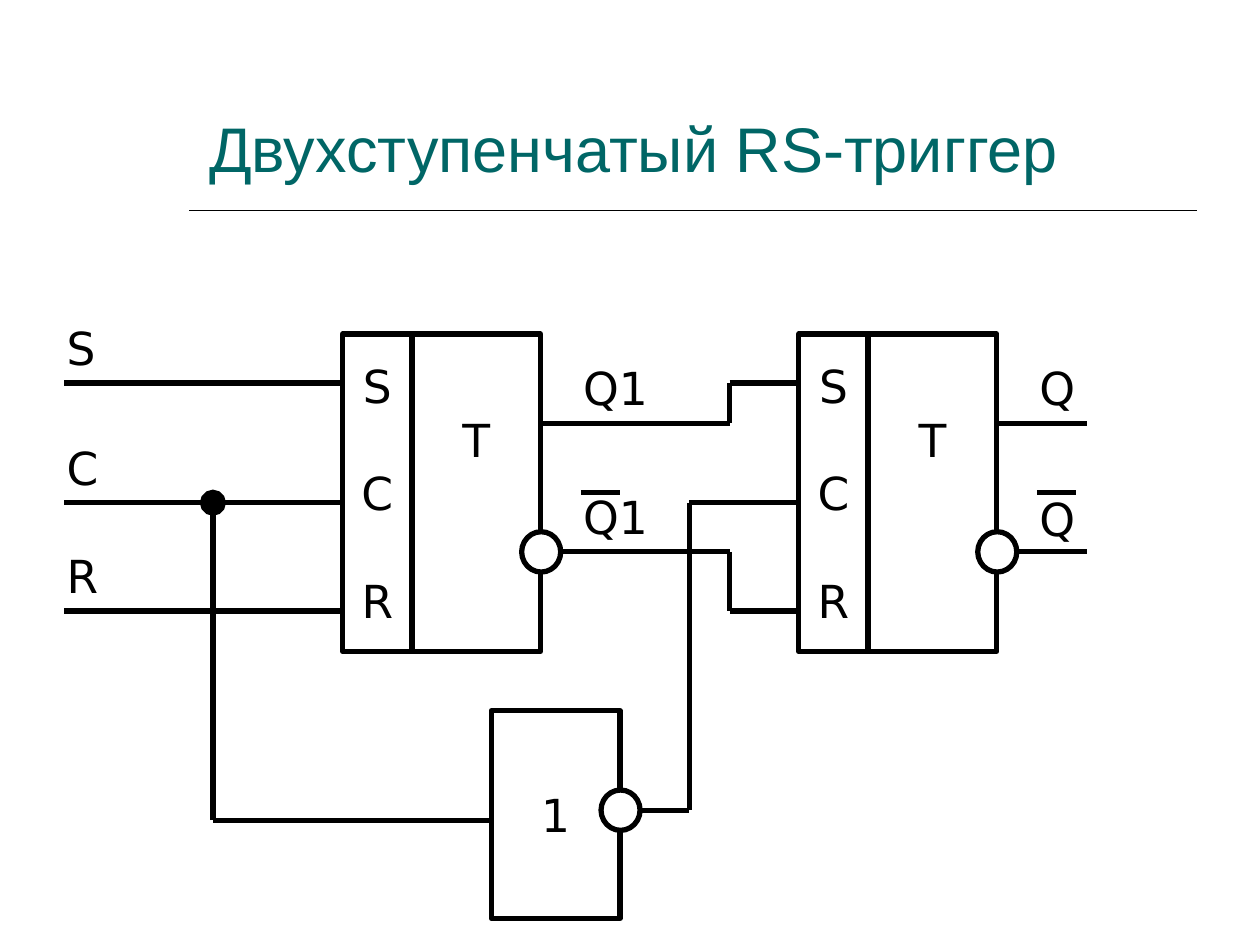
from itertools import pairwise

from lxml.etree import SubElement
from pptx import Presentation
from pptx.dml.color import RGBColor
from pptx.enum.shapes import MSO_CONNECTOR, MSO_SHAPE
from pptx.enum.text import MSO_ANCHOR as ANCHOR, PP_ALIGN as ALIGN
from pptx.oxml.ns import qn
from pptx.util import Inches, Pt

COLORS = {"title": "006666", "ink": "000000", "paper": "FFFFFF"}
SIZE = 26
ROW = 30.3            # height of one text line, points
S_Y, C_Y, R_Y = 3.04, 3.99, 4.85
Q_Y, NOT_Q_Y = 3.36, 4.38


class Diagram:
    def __init__(self, slide, font="DejaVu Sans", weight=3):
        self.slide, self.font, self.weight = slide, font, weight

    def color(self, name):
        return RGBColor.from_string(COLORS[name])

    def style(self, p, size=SIZE, font=None, color="ink"):
        p.font.size = Pt(size)
        p.font.name = font or self.font
        p.font.color.rgb = self.color(color)

    def title(self, text):
        sp = self.slide.shapes.title
        sp.left, sp.top, sp.width, sp.height = map(Inches, (1.56, 0.39, 7.88, 1.13))
        tf = sp.text_frame
        tf.text = text
        tf.vertical_anchor = ANCHOR.BOTTOM
        tf.paragraphs[0].alignment = ALIGN.LEFT
        self.style(tf.paragraphs[0], 36, "Arial", "title")

    def shape(self, kind, x, y, w, h):
        sp = self.slide.shapes.add_shape(kind, *map(Inches, (x, y, w, h)))
        sp.shadow.inherit = False
        sp.fill.solid()
        sp.fill.fore_color.rgb = self.color("paper")
        sp.line.color.rgb = self.color("ink")
        sp.line.width = Pt(self.weight)
        return sp

    def block(self, x, y, w, h, lines, lift=0):
        """Box with centred lines one blank row apart, raised by lift rows of inset."""
        tf = self.shape(MSO_SHAPE.RECTANGLE, x, y, w, h).text_frame
        tf.word_wrap = False
        tf.vertical_anchor = ANCHOR.MIDDLE
        tf.margin_bottom = Inches(0.05) + Pt(ROW * lift)
        for i, line in enumerate(lines):
            p = tf.add_paragraph() if i else tf.paragraphs[0]
            p.text = line
            p.alignment = ALIGN.CENTER
            if i:
                p.space_before = Pt(ROW)
            self.style(p)

    def inversion(self, x, y):
        self.shape(MSO_SHAPE.OVAL, x - 0.15, y - 0.16, 0.31, 0.32)

    def label(self, text, x, y, w=0.86):
        sp = self.slide.shapes.add_textbox(*map(Inches, (x, y, w, 0.54)))
        tf = sp.text_frame
        tf.word_wrap = True
        tf.text = text
        self.style(tf.paragraphs[0])

    def wire(self, *points, weight=None, dot=False):
        """Line through the points, with an optional junction dot at the end."""
        for start, end in pairwise(points):
            line = self.slide.shapes.add_connector(
                MSO_CONNECTOR.STRAIGHT, *map(Inches, (*start, *end)))
            line.line.color.rgb = self.color("ink")
            line.line.width = Pt(weight or self.weight)
            SubElement(line._element.spPr, qn("a:effectLst"))
        if dot:
            SubElement(line.line._get_or_add_ln(), qn("a:tailEnd"),
                       type="oval", w="lg", len="lg")

    def flip_flop(self, x):
        self.block(x, 2.65, 0.55, 2.52, ["S", "C", "R"])
        self.block(x + 0.55, 2.65, 1.02, 2.52, ["T"], lift=2)

    def outputs(self, x, name, not_y):
        """Direct and inverted output labels to the right of a flip-flop edge."""
        self.label(name, x + 0.24, 2.81)
        self.label(name, x + 0.24, not_y, 1.1)
        self.wire((x + 0.32, 3.91), (x + 0.63, 3.91))
        self.inversion(x, NOT_Q_Y)


def main():
    prs = Presentation()
    prs.slide_width, prs.slide_height = Inches(10), Inches(7.5)
    d = Diagram(prs.slides.add_slide(prs.slide_layouts[5]))
    d.title("Двухступенчатый RS-триггер")
    d.wire((1.5, 1.67), (9.5, 1.67), weight=1)

    for x in (2.72, 6.34):
        d.flip_flop(x)
    d.block(3.9, 5.64, 1.02, 1.65, ["1"])

    for name, y in (("S", S_Y), ("С", C_Y), ("R", R_Y)):
        d.label(name, 0.43, y - 0.55, 0.71)
        d.wire((0.51, y), (2.72, y))

    d.wire((4.29, Q_Y), (5.79, Q_Y), (5.79, S_Y), (6.34, S_Y))
    d.wire((4.29, NOT_Q_Y), (5.79, NOT_Q_Y), (5.79, R_Y), (6.34, R_Y))
    d.wire((3.9, 6.51), (1.69, 6.51), (1.69, C_Y), dot=True)
    d.wire((4.92, 6.43), (5.47, 6.43), (5.47, C_Y), (6.34, C_Y))
    for y in (Q_Y, NOT_Q_Y):
        d.wire((7.91, y), (8.63, y))

    d.outputs(4.29, "Q1", 3.83)
    d.outputs(7.91, "Q", 3.85)
    d.inversion(4.92, 6.43)
    prs.save("out.pptx")


if __name__ == "__main__":
    main()
